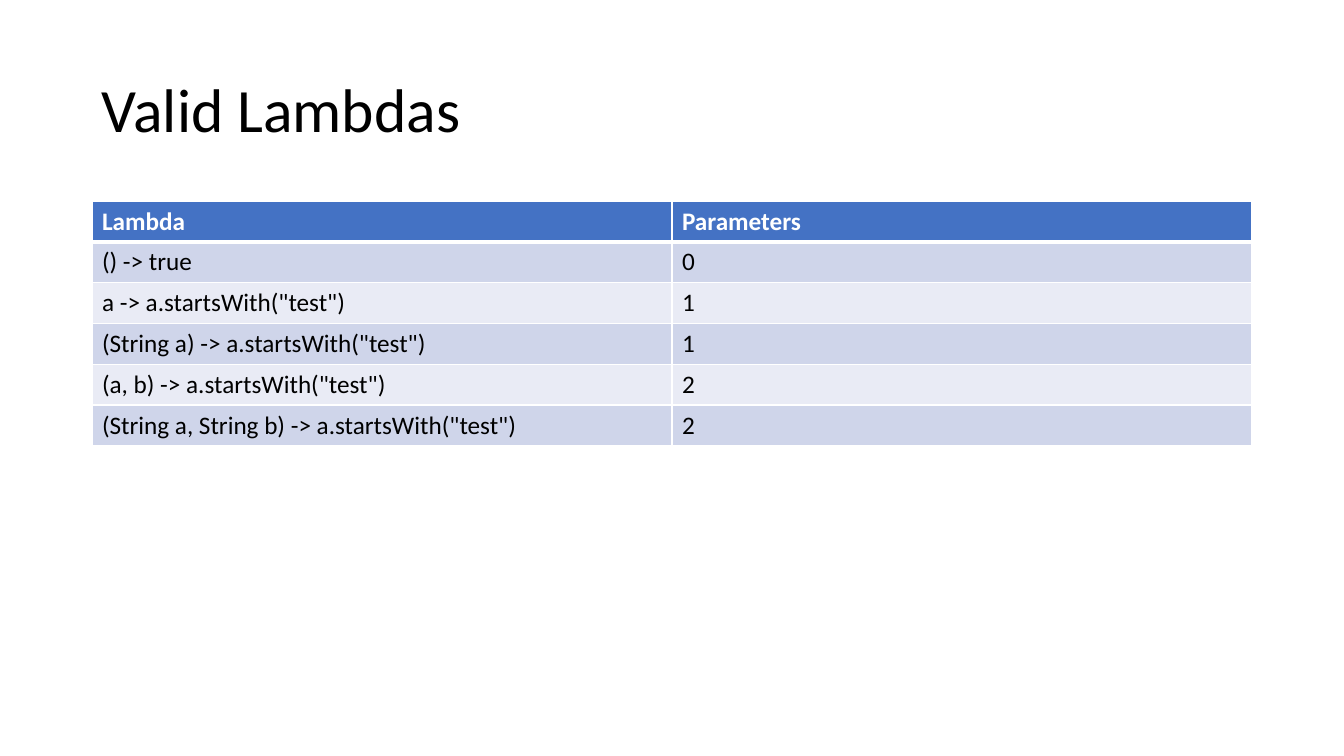
from lxml.etree import SubElement
from pptx import Presentation
from pptx.dml.color import RGBColor
from pptx.enum.text import MSO_ANCHOR as Anchor
from pptx.oxml.ns import qn
from pptx.util import Pt

SCALE = 914400 / 100.8
FONT = "Calibri"
BLACK = RGBColor(0x00, 0x00, 0x00)
WHITE = RGBColor(0xFF, 0xFF, 0xFF)
HEADER_BLUE = RGBColor(0x44, 0x72, 0xC4)
BAND_DARK = RGBColor(0xCF, 0xD5, 0xEA)
BAND_LIGHT = RGBColor(0xE9, 0xEB, 0xF5)

LAMBDA_ROWS = [
    ("Lambda", "Parameters"),
    ("() -> true", "0"),
    ('a -> a.startsWith("test")', "1"),
    ('(String a) -> a.startsWith("test")', "1"),
    ('(a, b) -> a.startsWith("test")', "2"),
    ('(String a, String b) -> a.startsWith("test")', "2"),
]


def px(length):
    return round(length * SCALE)


def write_text(frame, text, size=18, color=BLACK, bold=False, line_spacing=None):
    para = frame.paragraphs[0]
    para.line_spacing = line_spacing
    span = para.add_run()
    span.text = text
    span.font.name = FONT
    span.font.size = Pt(size)
    span.font.bold = bold
    span.font.color.rgb = color


def set_borders(cell, **widths):
    properties = cell._tc.get_or_add_tcPr()
    for side in "LRTB":
        line = SubElement(properties, qn("a:ln" + side), w=str(Pt(widths.get(side, 1))))
        fill = SubElement(line, qn("a:solidFill"))
        SubElement(fill, qn("a:srgbClr"), val=str(WHITE))


def add_title(page, box, text):
    frame = page.shapes.add_textbox(*map(px, box)).text_frame
    frame.word_wrap = True
    frame.vertical_anchor = Anchor.MIDDLE
    write_text(frame, text, size=44, line_spacing=0.9)


def add_lambda_table(page, box, rows):
    table = page.shapes.add_table(len(rows), len(rows[0]), *map(px, box)).table
    for row_index, row in enumerate(rows):
        is_header = row_index == 0
        band = BAND_DARK if row_index % 2 else BAND_LIGHT
        for column_index, text in enumerate(row):
            cell = table.cell(row_index, column_index)
            set_borders(cell, T=3 if row_index == 1 else 1, B=3 if is_header else 1)
            cell.fill.solid()
            cell.fill.fore_color.rgb = HEADER_BLUE if is_header else band
            write_text(cell.text_frame, text, bold=is_header,
                       color=WHITE if is_header else BLACK)


def build_lambda_page(deck):
    page = deck.slides.add_slide(deck.slide_layouts[6])
    add_title(page, (92, 40, 1160, 146), "Valid Lambdas")
    add_lambda_table(page, (92, 201, 1160, 245), LAMBDA_ROWS)


deck = Presentation()
deck.slide_width, deck.slide_height = px(1344), px(756)
build_lambda_page(deck)
deck.save("out.pptx")
